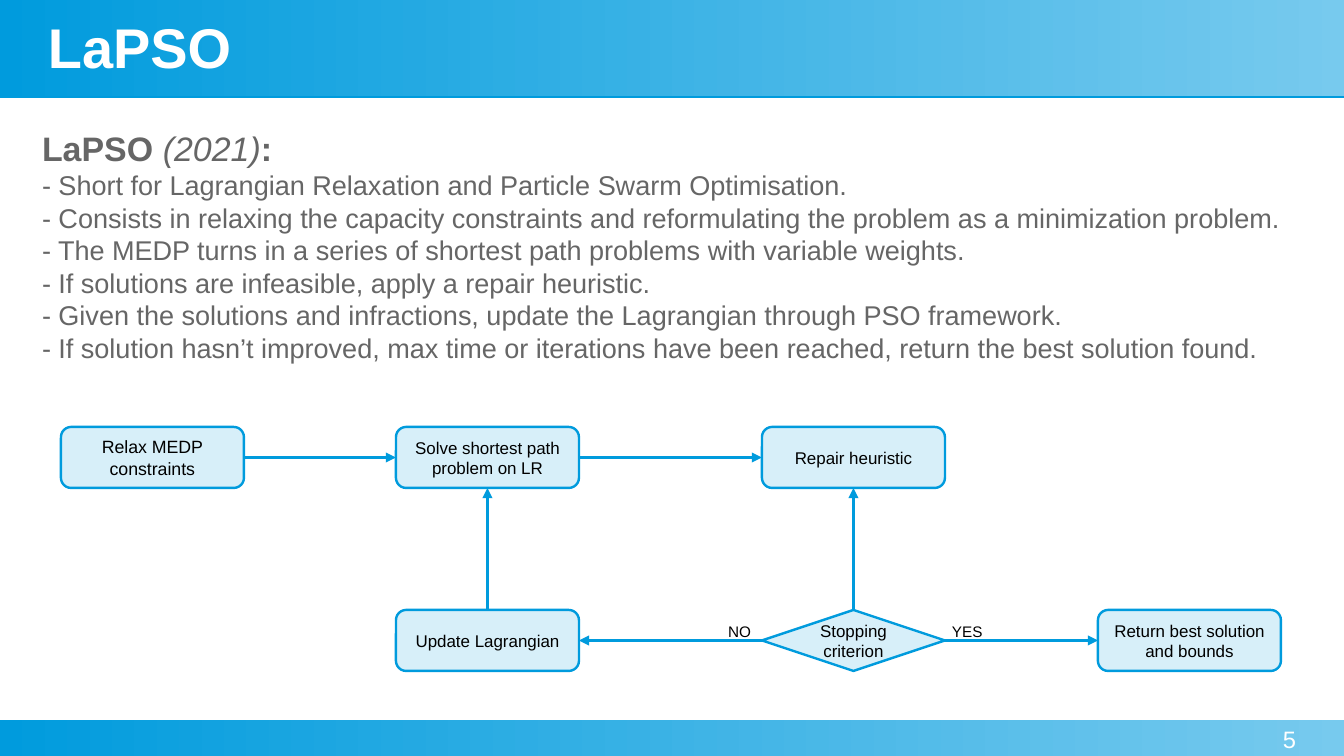
from dataclasses import dataclass

from lxml import etree
from pptx import Presentation
from pptx.dml.color import RGBColor
from pptx.enum.shapes import MSO_CONNECTOR, MSO_SHAPE
from pptx.enum.text import MSO_ANCHOR, PP_ALIGN
from pptx.oxml.ns import qn
from pptx.util import Emu, Pt

RECTANGLE = MSO_SHAPE.RECTANGLE
ROUNDED = MSO_SHAPE.ROUNDED_RECTANGLE
DECISION = MSO_SHAPE.FLOWCHART_DECISION
STRAIGHT = MSO_CONNECTOR.STRAIGHT
LEFT, CENTER, RIGHT = PP_ALIGN.LEFT, PP_ALIGN.CENTER, PP_ALIGN.RIGHT
TOP, MIDDLE = MSO_ANCHOR.TOP, MSO_ANCHOR.MIDDLE

FONT = "Arial"
COLORS = {"accent": "009BDD", "pale": "77CAEE", "node": "39B2E5",
          "body": "666666", "black": "000000", "white": "FFFFFF"}
PX = 914400 / 122
SLIDE_WIDTH, SLIDE_HEIGHT = 1344, 756
NODE_WIDTH, NODE_HEIGHT = 183, 61
LINE_WIDTH = 1.42
SIDE_TOP, SIDE_LEFT, SIDE_BOTTOM, SIDE_RIGHT = range(4)


@dataclass
class Span:
    text: str
    size: float
    bold: bool = False
    italic: bool = False


@dataclass
class Node:
    name: str
    left: int
    top: int
    lines: list[str]
    size: float = 10
    kind: int = ROUNDED


@dataclass
class Arrow:
    start: str
    start_side: int
    end: str
    end_side: int


BODY = [
    [Span("LaPSO ", 20, bold=True), Span("(2021)", 20, italic=True), Span(":", 20, bold=True)],
    *([Span("- " + line, 16)] for line in (
        "Short for Lagrangian Relaxation and Particle Swarm Optimisation.",
        "Consists in relaxing the capacity constraints and reformulating the problem"
        " as a minimization problem.",
        "The MEDP turns in a series of shortest path problems with variable weights.",
        "If solutions are infeasible, apply a repair heuristic.",
        "Given the solutions and infractions, update the Lagrangian through PSO framework.",
        "If solution hasn’t improved, max time or iterations have been reached,"
        " return the best solution found.",
    )),
]

COLUMNS = (61, 396, 762, 1098)
UPPER, LOWER = 427, 610
NODES = [
    Node("relax", COLUMNS[0], UPPER, ["Relax MEDP", "constraints"], size=10.5),
    Node("solve", COLUMNS[1], UPPER, ["Solve shortest path", "problem on LR"]),
    Node("repair", COLUMNS[2], UPPER, ["Repair heuristic"]),
    Node("update", COLUMNS[1], LOWER, ["Update Lagrangian"]),
    Node("stop", COLUMNS[2], LOWER, ["Stopping", "criterion"], kind=DECISION),
    Node("return", COLUMNS[3], LOWER, ["Return best solution", "and bounds"]),
]
ARROWS = [
    Arrow("relax", SIDE_RIGHT, "solve", SIDE_LEFT),
    Arrow("solve", SIDE_RIGHT, "repair", SIDE_LEFT),
    Arrow("update", SIDE_TOP, "solve", SIDE_BOTTOM),
    Arrow("stop", SIDE_TOP, "repair", SIDE_BOTTOM),
    Arrow("stop", SIDE_LEFT, "update", SIDE_RIGHT),
    Arrow("stop", SIDE_RIGHT, "return", SIDE_LEFT),
]


def px(*lengths: int) -> list[Emu]:
    return [Emu(round(length * PX)) for length in lengths]


def rgb(name: str) -> RGBColor:
    return RGBColor.from_string(COLORS[name])


def write(shape, paragraphs: list[list[Span]], *, color: str, align=LEFT,
          anchor=TOP, inset: tuple[int, int] = (12, 6), wrap: bool = False) -> None:
    frame = shape.text_frame
    frame.word_wrap = wrap
    frame.vertical_anchor = anchor
    frame.margin_left = frame.margin_right = px(inset[0])[0]
    frame.margin_top = frame.margin_bottom = px(inset[1])[0]
    for index, spans in enumerate(paragraphs):
        para = frame.paragraphs[0] if index == 0 else frame.add_paragraph()
        para.alignment = align
        for span in spans:
            run = para.add_run()
            run.text = span.text
            run.font.name = FONT
            run.font.size = Pt(span.size)
            run.font.bold = span.bold
            run.font.italic = span.italic
            run.font.color.rgb = rgb(color)


def add_text(page, place: tuple[int, int, int, int], paragraphs: list[list[Span]],
             **style) -> None:
    write(page.shapes.add_textbox(*px(*place)), paragraphs, **style)


def add_band(page, top: int, height: int) -> None:
    band = page.shapes.add_shape(RECTANGLE, *px(0, top, SLIDE_WIDTH, height))
    band.line.fill.background()
    band.fill.gradient()
    band.fill.gradient_angle = 0
    for stop, color in zip(band.fill.gradient_stops, ("accent", "pale")):
        stop.color.rgb = rgb(color)
    # Hard shadow that reads as a thin rule under the band
    effects = etree.SubElement(band.element.spPr, qn("a:effectLst"))
    shadow = etree.SubElement(effects, qn("a:outerShdw"), dist="11430", dir="5400000")
    etree.SubElement(shadow, qn("a:srgbClr"), val=COLORS["accent"])
    page.shapes.title.element.addprevious(band.element)


def add_node(page, node: Node):
    box = page.shapes.add_shape(node.kind, *px(node.left, node.top, NODE_WIDTH, NODE_HEIGHT))
    box.shadow.inherit = False
    box.fill.solid()
    box.fill.fore_color.rgb = rgb("node")
    fill_color = box.element.spPr.find(qn("a:solidFill")).find(qn("a:srgbClr"))
    etree.SubElement(fill_color, qn("a:alpha"), val="20000")
    box.line.color.rgb = rgb("accent")
    box.line.width = Pt(LINE_WIDTH)
    write(box, [[Span(line, node.size)] for line in node.lines],
          color="black", align=CENTER, anchor=MIDDLE)
    return box


def add_arrow(page, arrow: Arrow, boxes: dict) -> None:
    connector = page.shapes.add_connector(STRAIGHT, 0, 0, 0, 0)
    connector.begin_connect(boxes[arrow.start], arrow.start_side)
    connector.end_connect(boxes[arrow.end], arrow.end_side)
    connector.line.color.rgb = rgb("accent")
    connector.line.width = Pt(LINE_WIDTH)
    etree.SubElement(connector.line._get_or_add_ln(), qn("a:tailEnd"), type="triangle")
    etree.SubElement(connector.element.spPr, qn("a:effectLst"))


def main() -> None:
    deck = Presentation()
    deck.slide_width, deck.slide_height = px(SLIDE_WIDTH, SLIDE_HEIGHT)
    page = deck.slides.add_slide(deck.slide_layouts[5])

    # Header, footer and title
    add_band(page, 0, 96)
    add_band(page, 720, 36)
    title = page.shapes.title
    title.left, title.top, title.width, title.height = px(48, 15, 1249, 63)
    write(title, [[Span("LaPSO", 33, bold=True)]], color="white",
          anchor=MIDDLE, inset=(0, 0), wrap=True)

    # Method summary
    add_text(page, (30, 122, 1290, 231), BODY, color="body", wrap=True)

    # Flowchart
    boxes = {node.name: add_node(page, node) for node in NODES}
    for arrow in ARROWS:
        add_arrow(page, arrow, boxes)
    for label, left, width in (("NO", 716, 48), ("YES", 940, 55)):
        add_text(page, (left, 616, width, 29), [[Span(label, 9)]], color="black")

    # Page number
    add_text(page, (985, 725, 311, 31), [[Span("5", 14)]], color="white",
             align=RIGHT, inset=(0, 0), wrap=True)
    deck.save("out.pptx")


if __name__ == "__main__":
    main()
